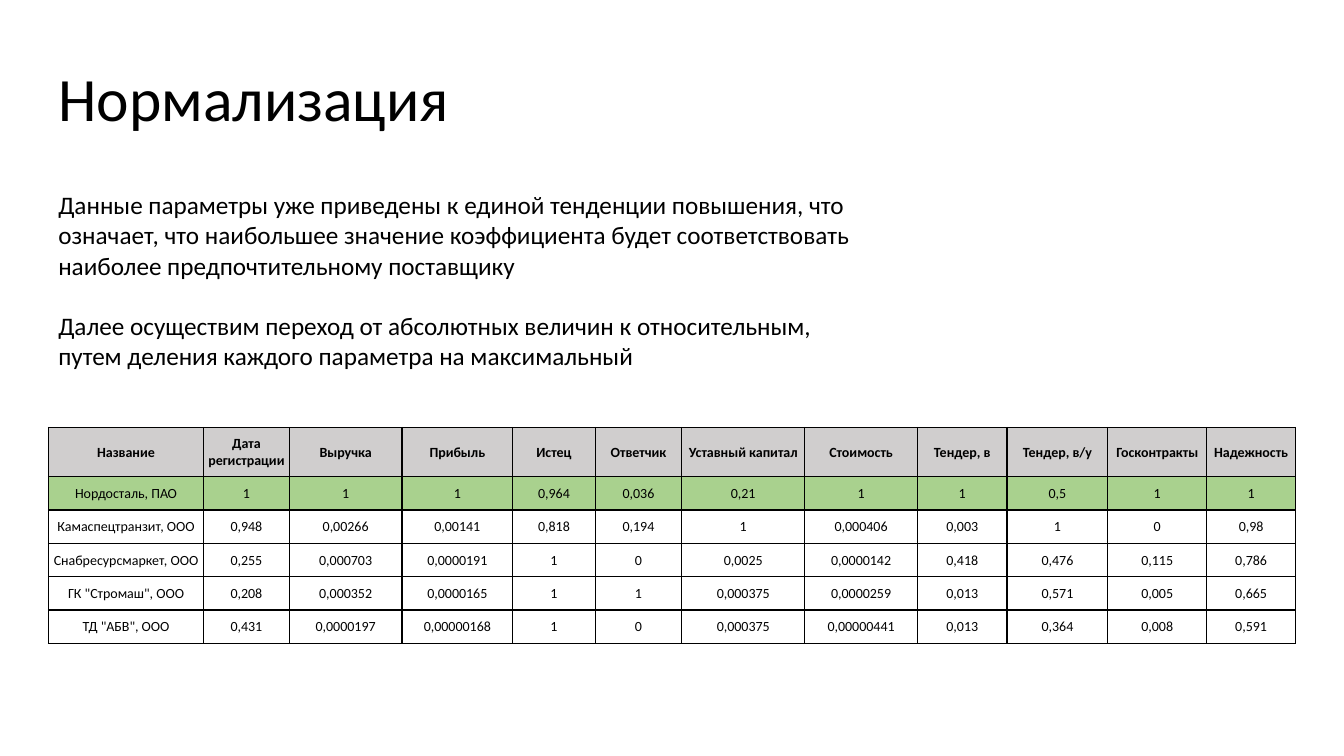
import typing

import lxml.etree
import pptx
import pptx.dml.color
import pptx.enum.text
import pptx.oxml.ns
import pptx.util

Cm = pptx.util.Cm
Pt = pptx.util.Pt
Align = pptx.enum.text.PP_ALIGN
Anchor = pptx.enum.text.MSO_ANCHOR

FONT = "Calibri"
BLACK, GREY, GREEN = "000000", "D0CECE", "A9D18E"
LEFT = Cm(1.22)


class Column(typing.NamedTuple):
    title: str
    width: float


class Firm(typing.NamedTuple):
    name: str
    scores: str
    fill: str | None = None


COLUMNS = [
    Column("Название", 3.91),
    Column("Дата регистрации", 2.16),
    Column("Выручка", 2.84),
    Column("Прибыль", 2.79),
    Column("Истец", 2.08),
    Column("Ответчик", 2.18),
    Column("Уставный капитал", 3.1),
    Column("Стоимость", 2.84),
    Column("Тендер, в", 2.26),
    Column("Тендер, в/у", 2.54),
    Column("Госконтракты", 2.49),
    Column("Надежность", 2.24),
]
FIRMS = [
    Firm("Нордосталь, ПАО", "1 1 1 0,964 0,036 0,21 1 1 0,5 1 1", GREEN),
    Firm("Камаспецтранзит, ООО", "0,948 0,00266 0,00141 0,818 0,194 1 0,000406 0,003 1 0 0,98"),
    Firm("Снабресурсмаркет, ООО",
         "0,255 0,000703 0,0000191 1 0 0,0025 0,0000142 0,418 0,476 0,115 0,786"),
    Firm('ГК "Стромаш", ООО',
         "0,208 0,000352 0,0000165 1 1 0,000375 0,0000259 0,013 0,571 0,005 0,665"),
    Firm('ТД "АБВ", ООО',
         "0,431 0,0000197 0,00000168 1 0 0,000375 0,00000441 0,013 0,364 0,008 0,591"),
]
NOTES = [
    "Данные параметры уже приведены к единой тенденции повышения, что означает, "
    "что наибольшее значение коэффициента будет соответствовать "
    "наиболее предпочтительному поставщику",
    "Далее осуществим переход от абсолютных величин к относительным, "
    "путем деления каждого параметра на максимальный",
]
HEAD_ROW, FIRM_ROW = 1.24, 0.84


def paint(target: typing.Any, color: str) -> None:
    """Give a fill or a font a solid colour."""
    if hasattr(target, "solid"):
        target.solid()
        target = target.fore_color
    else:
        target = target.color
    target.rgb = pptx.dml.color.RGBColor.from_string(color)


def style(para: typing.Any, size: float, align: Align, bold: bool = False) -> None:
    para.alignment = align
    para.font.name = FONT
    para.font.size = Pt(size)
    para.font.bold = bold
    paint(para.font, BLACK)


def frame(cell: typing.Any) -> None:
    """Draw a thin black border on all four sides of a cell."""
    props = cell._tc.get_or_add_tcPr()
    qn = pptx.oxml.ns.qn
    for side in "LRTB":
        line = lxml.etree.SubElement(props, qn(f"a:ln{side}"), w=str(Pt(1)))
        fill = lxml.etree.SubElement(line, qn("a:solidFill"))
        lxml.etree.SubElement(fill, qn("a:srgbClr"), val=BLACK)


def write(cell: typing.Any, text: str, fill: str | None, bold: bool) -> None:
    frame(cell)
    if fill:
        paint(cell.fill, fill)
    else:
        cell.fill.background()
    cell.margin_left = cell.margin_right = cell.margin_top = Cm(0.03)
    cell.margin_bottom = 0
    cell.vertical_anchor = Anchor.MIDDLE
    cell.text = text
    style(cell.text_frame.paragraphs[0], 10, Align.CENTER, bold)


def add_title(slide: typing.Any) -> None:
    title = slide.shapes.title
    title.left, title.top, title.width, title.height = LEFT, Cm(0.71), Cm(29.21), Cm(3.68)
    title.text = "Нормализация"
    title.text_frame.auto_size = pptx.enum.text.MSO_AUTO_SIZE.NONE
    title.text_frame.vertical_anchor = Anchor.MIDDLE
    para = title.text_frame.paragraphs[0]
    para.line_spacing = 0.9
    style(para, 44, Align.LEFT)


def add_notes(slide: typing.Any) -> None:
    box = slide.shapes.add_textbox(LEFT, Cm(4.65), Cm(20.8), Cm(4.88))
    box.text_frame.word_wrap = True
    box.text_frame.text = "\n".join(NOTES)
    for para in box.text_frame.paragraphs:
        style(para, 18, Align.LEFT)
    para.space_before = Pt(21.6)


def add_scores(slide: typing.Any) -> None:
    rows = [Firm(COLUMNS[0].title, "", GREY), *FIRMS]
    width = sum(col.width for col in COLUMNS)
    height = HEAD_ROW + FIRM_ROW * len(FIRMS)
    table = slide.shapes.add_table(
        len(rows), len(COLUMNS), LEFT, Cm(10.77), Cm(width), Cm(height)
    ).table
    table.first_row = table.horz_banding = False
    for place, col in zip(table.columns, COLUMNS):
        place.width = Cm(col.width)
    for r, firm in enumerate(rows):
        head = r == 0
        table.rows[r].height = Cm(HEAD_ROW if head else FIRM_ROW)
        texts = [col.title for col in COLUMNS] if head else [firm.name, *firm.scores.split()]
        for c, text in enumerate(texts):
            write(table.cell(r, c), text, firm.fill, head)


def main() -> None:
    deck = pptx.Presentation()
    deck.slide_width, deck.slide_height = Cm(33.87), Cm(19.05)
    slide = deck.slides.add_slide(deck.slide_layouts.get_by_name("Title Only"))
    add_title(slide)
    add_notes(slide)
    add_scores(slide)
    deck.save("out.pptx")


if __name__ == "__main__":
    main()
